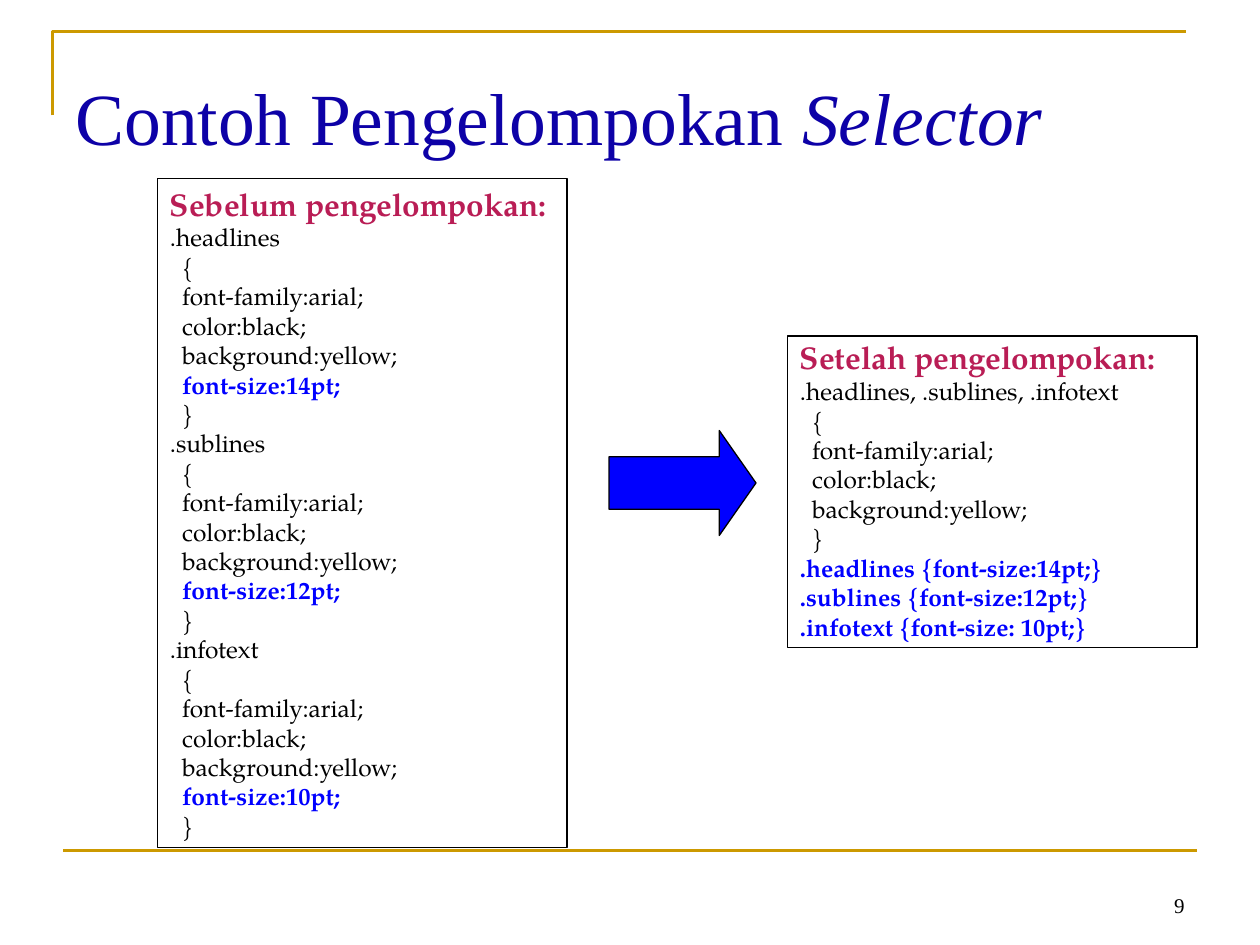
from pptx import Presentation
from pptx.dml.color import RGBColor
from pptx.enum.shapes import MSO_CONNECTOR as Connector, MSO_SHAPE as Shape
from pptx.enum.text import MSO_ANCHOR as Anchor, PP_ALIGN as Align
from pptx.oxml.ns import qn
from pptx.util import Inches, Pt
from lxml.etree import SubElement

UNITS_PER_INCH = 12  # the grid has 120 columns and 90 rows


def color(value):
    return RGBColor.from_string(value)


def grid(*units):
    return [Inches(unit / UNITS_PER_INCH) for unit in units]


class SlideBuilder:
    SERIF, BOOK = "Times New Roman", "TeX Gyre Pagella"
    GOLD, BLACK, BLUE = "CC9900", "000000", "0000FF"
    TITLE = {"name": SERIF, "size": Pt(42), "color": "0D01A7"}
    NUMBER = {"name": SERIF, "size": Pt(12), "color": BLACK}
    HEADING = {"name": BOOK, "size": Pt(18), "color": "B91D55", "bold": True}
    CODE = {"name": BOOK, "size": Pt(14), "color": BLACK, "bold": False}
    KEY_CODE = {**CODE, "color": BLUE, "bold": True}

    def __init__(self, presentation):
        self.slide = presentation.slides.add_slide(presentation.slide_layouts[6])
        self.shapes = self.slide.shapes

    def set_line(self, shape, value, width):
        shape.line.color.rgb = color(value)
        shape.line.width = Pt(width)

    def add_run(self, paragraph, text, style):
        run = paragraph.add_run()
        run.text = text
        for name, value in style.items():
            if name == "color":
                run.font.color.rgb = color(value)
            else:
                setattr(run.font, name, value)

    def rule(self, start, end):
        line = self.shapes.add_connector(Connector.STRAIGHT, *grid(*start, *end))
        self.set_line(line, self.GOLD, 1.5)
        SubElement(line._element.spPr, qn("a:effectLst"))

    def corner(self, *points):
        builder = self.shapes.build_freeform(*grid(*points[0]))
        builder.add_line_segments([grid(*point) for point in points[1:]], close=False)
        shape = builder.convert_to_shape()
        shape.shadow.inherit = False
        shape.fill.background()
        self.set_line(shape, self.GOLD, 1.5)

    def text(self, area, runs, anchor, align=Align.LEFT):
        frame = self.shapes.add_textbox(*grid(*area)).text_frame
        frame.word_wrap = True
        frame.vertical_anchor = anchor
        paragraph = frame.paragraphs[0]
        paragraph.alignment = align
        for text, style in runs:
            self.add_run(paragraph, text, style)

    def shape(self, kind, area, fill=None):
        shape = self.shapes.add_shape(kind, *grid(*area))
        shape.shadow.inherit = False
        if fill:
            shape.fill.solid()
            shape.fill.fore_color.rgb = color(fill)
        else:
            shape.fill.background()
        self.set_line(shape, self.BLACK, 0.75)
        return shape

    def code_box(self, area, heading, lines, heading_spacing=1.0):
        frame = self.shape(Shape.RECTANGLE, area).text_frame
        frame.word_wrap = True
        frame.vertical_anchor = Anchor.TOP
        paragraph = frame.paragraphs[0]
        paragraph.alignment = Align.LEFT
        paragraph.line_spacing = heading_spacing
        self.add_run(paragraph, heading, self.HEADING)
        for line in lines:
            paragraph = frame.add_paragraph()
            paragraph.alignment = Align.LEFT
            style = self.KEY_CODE if "font-size" in line else self.CODE
            self.add_run(paragraph, line, style)

    def arrow(self, area, fill, adjustments):
        arrow = self.shape(Shape.RIGHT_ARROW, area, fill)
        for index, value in enumerate(adjustments):
            arrow.adjustments[index] = value


def css_rule(selector, *extra):
    declarations = ["font-family:arial;", "color:black;", "background:yellow;", *extra]
    return [selector] + [f"  {part}" for part in ("{", *declarations, "}")]


def main():
    presentation = Presentation()
    presentation.slide_width, presentation.slide_height = grid(120, 90)
    builder = SlideBuilder(presentation)

    # Frame lines and slide number
    builder.corner((5, 11), (5, 3), (113, 3))
    builder.rule((6, 81), (114, 81))
    builder.text((86, 82, 28, 6), [("9", builder.NUMBER)], Anchor.BOTTOM, Align.RIGHT)

    # Style rules before and after grouping
    sizes = {".headlines": "14pt", ".sublines": "12pt", ".infotext": "10pt"}
    before = [line for selector, size in sizes.items()
              for line in css_rule(selector, f"font-size:{size};")]
    after = css_rule(", ".join(sizes)) + [
        ".headlines {font-size:14pt;}",
        ".sublines {font-size:12pt;}",
        ".infotext {font-size: 10pt;}",
    ]
    builder.code_box((15, 17, 39, 63.7), "Sebelum pengelompokan:", before)
    builder.code_box((75, 32, 39, 29.7), "Setelah pengelompokan:", after, 0.9)

    # Title
    builder.text((6, 3.6, 108, 15),
                 [("Contoh Pengelompokan ", builder.TITLE),
                  ("Selector", {**builder.TITLE, "italic": True})], Anchor.MIDDLE)

    # Arrow from the first box to the second
    builder.arrow((58, 41, 14, 10), builder.BLUE, (0.5, 0.35))

    presentation.save("out.pptx")


if __name__ == "__main__":
    main()
